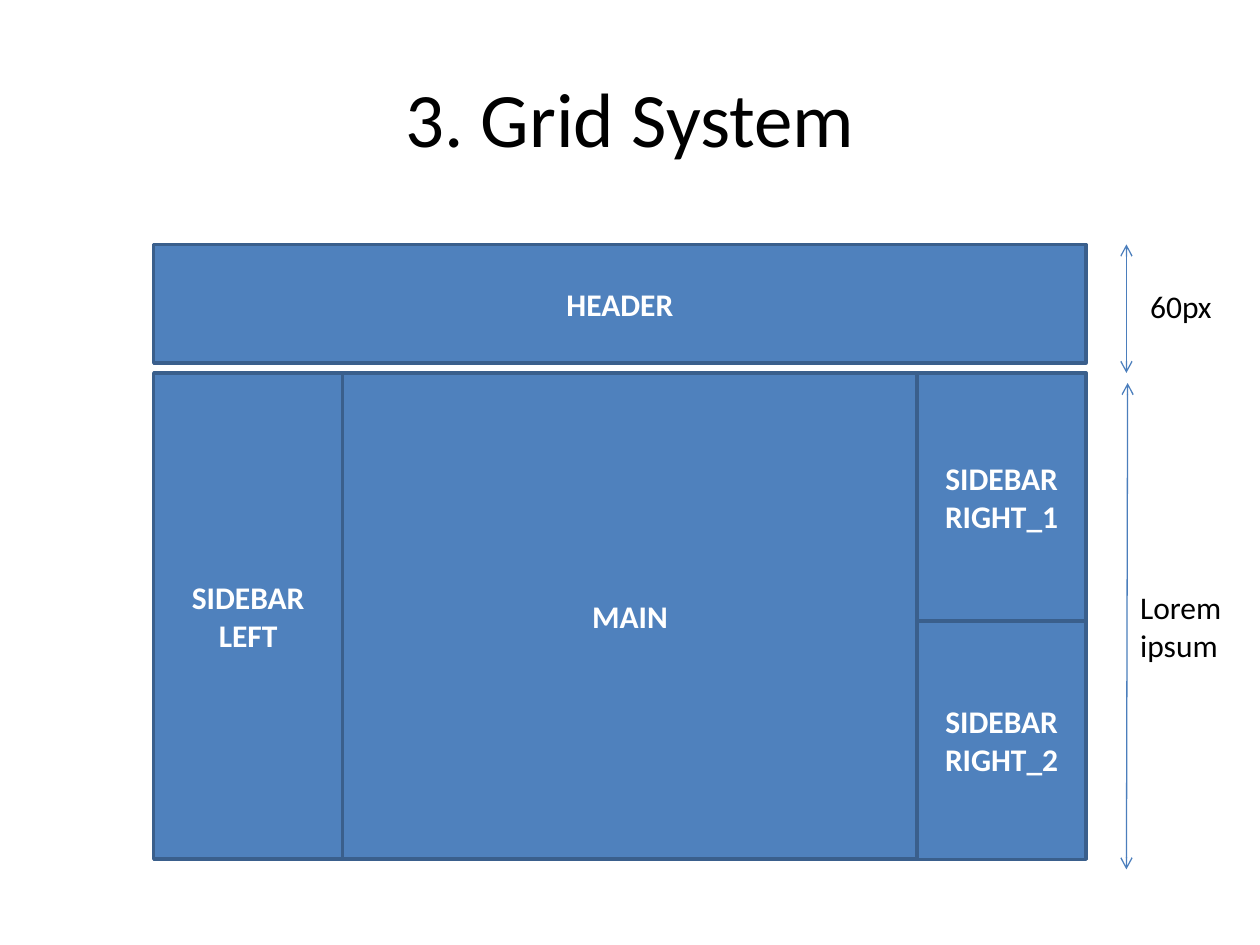
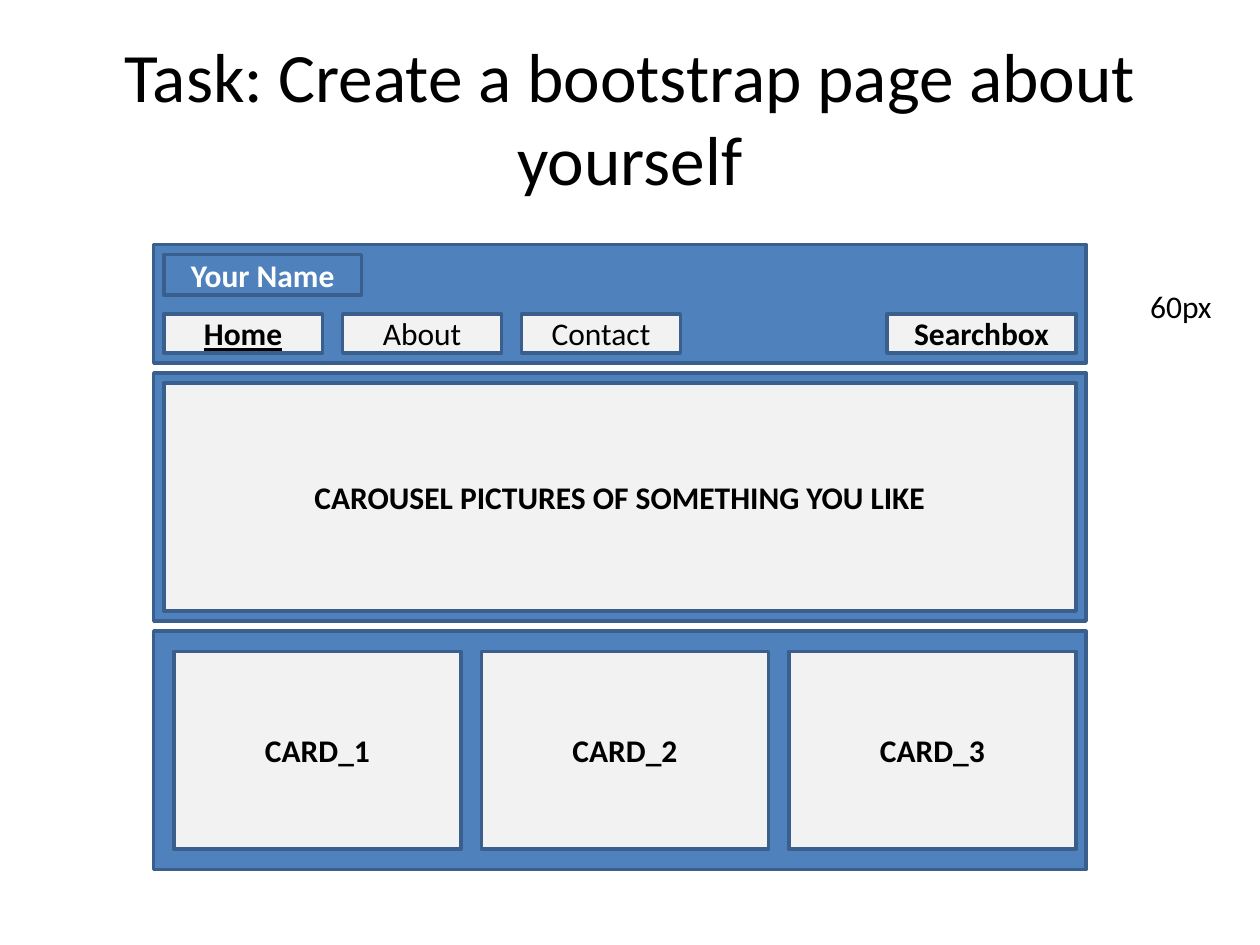
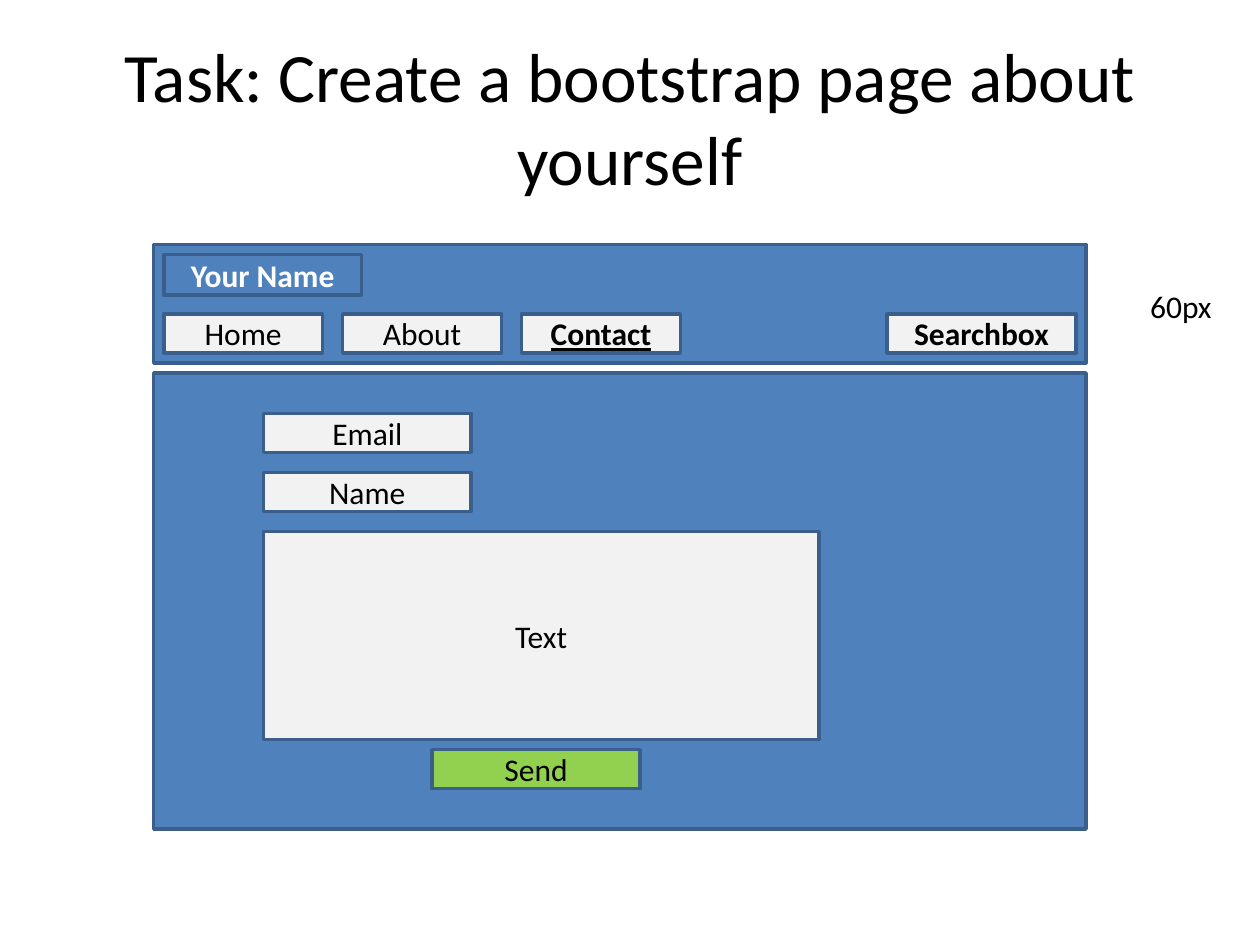
from pptx import Presentation
from pptx.dml.color import RGBColor
from pptx.enum.shapes import MSO_CONNECTOR, MSO_SHAPE
from pptx.enum.text import MSO_ANCHOR, MSO_AUTO_SIZE, PP_ALIGN
from pptx.oxml.ns import qn
from pptx.util import Inches, Pt
from lxml.etree import SubElement

FONT = "Calibri"
COLORS = {"blue": "4F81BD", "edge": "3A5F8C", "arrow": "4B7EBC", "panel": "F2F2F2",
          "green": "92D050", "white": "FFFFFF", "black": "000000"}

# Content
GRID_TITLE = "3. Grid System"
TASK_TITLE = "Task: Create a bootstrap page about yourself"
HEADER_HEIGHT = "60px"
BODY_HEIGHT = "Lorem\nipsum"
NAV = ["Home", "About", "Contact"]
CARDS = ["CARD_1", "CARD_2", "CARD_3"]
FIELDS = ["Email", "Name"]

# Shared page geometry, in inches
LEFT, WIDTH = 1.22, 7.4
RIGHT = LEFT + WIDTH
HEADER_TOP, HEADER_H = 1.94, 0.94
BODY_TOP = 2.96
PAD = 0.08
GAP = 2 * PAD
BUTTON_H = 0.31
INNER_LEFT, INNER_RIGHT = LEFT + PAD, RIGHT - PAD
SIDE_W, RIGHT_W = 1.5, 1.34
UPPER_H, LOWER_H = 1.97, 1.89


def color(name):
    return RGBColor.from_string(COLORS[name])


def write(tf, text, size=18, ink="black", bold=False, underline=False, align=PP_ALIGN.CENTER):
    for i, line in enumerate(text.split("\n")):
        p = tf.paragraphs[0] if i == 0 else tf.add_paragraph()
        p.alignment = align
        r = p.add_run()
        r.text = line
        r.font.name = FONT
        r.font.size = Pt(size)
        r.font.bold = bold
        r.font.underline = underline
        r.font.color.rgb = color(ink)


def add_box(s, x, y, w, h, text="", fill="panel", **fmt):
    sp = s.shapes.add_shape(MSO_SHAPE.RECTANGLE, *map(Inches, (x, y, w, h)))
    sp.shadow.inherit = False
    sp.fill.solid()
    sp.fill.fore_color.rgb = color(fill)
    sp.line.color.rgb = color("edge")
    sp.line.width = Pt(2)
    if text:
        sp.text_frame.vertical_anchor = MSO_ANCHOR.MIDDLE
        write(sp.text_frame, text, **fmt)


def add_block(s, x, y, w, h, text=""):
    add_box(s, x, y, w, h, text, fill="blue", ink="white", bold=True)


def add_label(s, x, y, w, h, text):
    tf = s.shapes.add_textbox(*map(Inches, (x, y, w, h))).text_frame
    tf.word_wrap = False
    tf.auto_size = MSO_AUTO_SIZE.SHAPE_TO_FIT_TEXT
    write(tf, text, align=PP_ALIGN.LEFT)


def add_measure(s, x1, y1, x2, y2):
    c = s.shapes.add_connector(MSO_CONNECTOR.STRAIGHT, *map(Inches, (x1, y1, x2, y2)))
    c.line.color.rgb = color("arrow")
    c.line.width = Pt(0.75)
    ln = c.line._get_or_add_ln()
    for end in ("a:headEnd", "a:tailEnd"):
        SubElement(ln, qn(end), type="arrow")
    SubElement(c._element.spPr, qn("a:effectLst"))


def new_slide(prs, title, size):
    s = prs.slides.add_slide(prs.slide_layouts[5])
    sp = s.shapes.title
    sp.left, sp.top, sp.width, sp.height = map(Inches, (0.5, 0.3, 9, 1.25))
    tf = sp.text_frame
    tf.word_wrap = True
    tf.auto_size = MSO_AUTO_SIZE.NONE
    tf.vertical_anchor = MSO_ANCHOR.MIDDLE
    write(tf, title, size=size)
    add_label(s, 9.03, 2.23, 0.69, 0.4, HEADER_HEIGHT)
    return s


def page_slide(prs, active):
    """Slide with the page header: name, navigation and search."""
    s = new_slide(prs, TASK_TITLE, 39.6)
    add_block(s, LEFT, HEADER_TOP, WIDTH, HEADER_H)
    add_block(s, INNER_LEFT, HEADER_TOP + PAD, 1.57, 0.32, "Your Name")
    nav_w, nav_top = 1.26, 2.49
    for i, name in enumerate(NAV):
        add_box(s, INNER_LEFT + i * (nav_w + GAP), nav_top, nav_w, BUTTON_H, name,
                bold=name == active, underline=name == active)
    add_box(s, INNER_RIGHT - SIDE_W, nav_top, SIDE_W, BUTTON_H, "Searchbox", bold=True)
    return s


def grid_slide(prs):
    s = new_slide(prs, GRID_TITLE, 44)
    body_h = UPPER_H + LOWER_H
    right_x = RIGHT - RIGHT_W
    add_block(s, LEFT, HEADER_TOP, WIDTH, HEADER_H, "HEADER")
    add_block(s, LEFT + SIDE_W, BODY_TOP, WIDTH - SIDE_W - RIGHT_W, body_h, "MAIN")
    add_block(s, right_x, BODY_TOP, RIGHT_W, UPPER_H, "SIDEBAR\nRIGHT_1")
    add_block(s, LEFT, BODY_TOP, SIDE_W, body_h, "SIDEBAR\nLEFT")
    add_block(s, right_x, BODY_TOP + UPPER_H, RIGHT_W, LOWER_H, "SIDEBAR\nRIGHT_2")
    # Height measures
    add_measure(s, 8.94, HEADER_TOP, 8.94, BODY_TOP)
    add_measure(s, 8.95, BODY_TOP + PAD, 8.94, BODY_TOP + body_h + PAD)
    add_label(s, 8.95, 4.62, 0.85, 0.71, BODY_HEIGHT)


def home_slide(prs):
    s = page_slide(prs, "Home")
    # Carousel
    add_block(s, LEFT, BODY_TOP, WIDTH, UPPER_H)
    add_box(s, INNER_LEFT, BODY_TOP + PAD, WIDTH - 2 * PAD, UPPER_H - 2 * PAD,
            "CAROUSEL PICTURES OF SOMETHING YOU LIKE", bold=True)
    # Cards
    cards_top = BODY_TOP + UPPER_H + PAD
    add_block(s, LEFT, cards_top, WIDTH, LOWER_H)
    card_w = 2.28
    for i, name in enumerate(CARDS):
        add_box(s, LEFT + GAP + i * (card_w + GAP), cards_top + GAP, card_w,
                LOWER_H - 2 * GAP, name, bold=True)


def contact_slide(prs):
    s = page_slide(prs, "Contact")
    add_block(s, LEFT, BODY_TOP, WIDTH, 3.62)
    # Form
    form_x, y, field_w, text_h = 2.09, BODY_TOP + 2 * GAP, 1.65, 1.65
    for name in FIELDS:
        add_box(s, form_x, y, field_w, BUTTON_H, name)
        y += BUTTON_H + GAP
    add_box(s, form_x, y, 4.41, text_h, "Text")
    add_box(s, 3.43, y + text_h + PAD, field_w, BUTTON_H, "Send", fill="green")


def main():
    prs = Presentation()
    prs.slide_width, prs.slide_height = Inches(10), Inches(7.5)
    grid_slide(prs)
    home_slide(prs)
    contact_slide(prs)
    prs.save("out.pptx")


if __name__ == "__main__":
    main()
